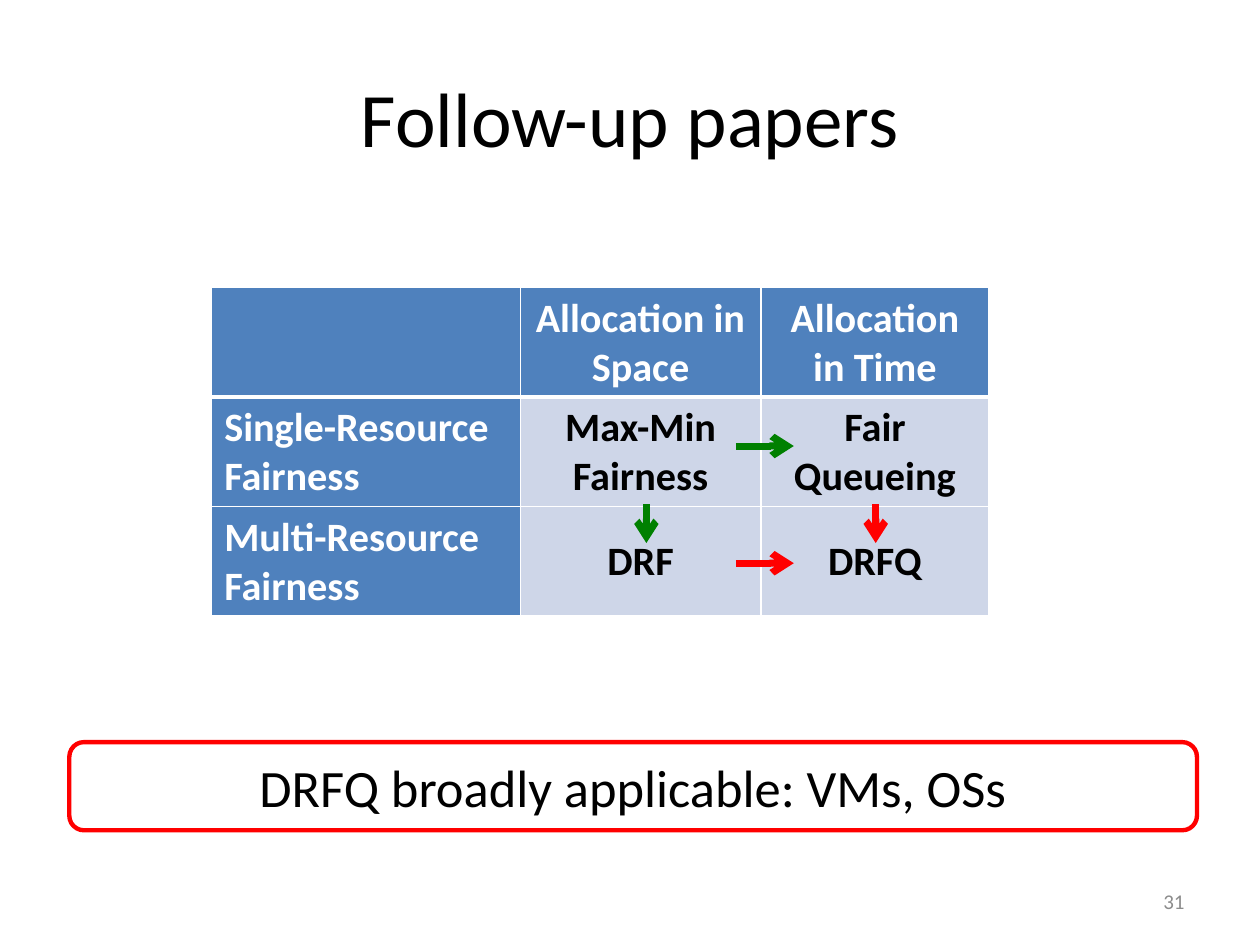
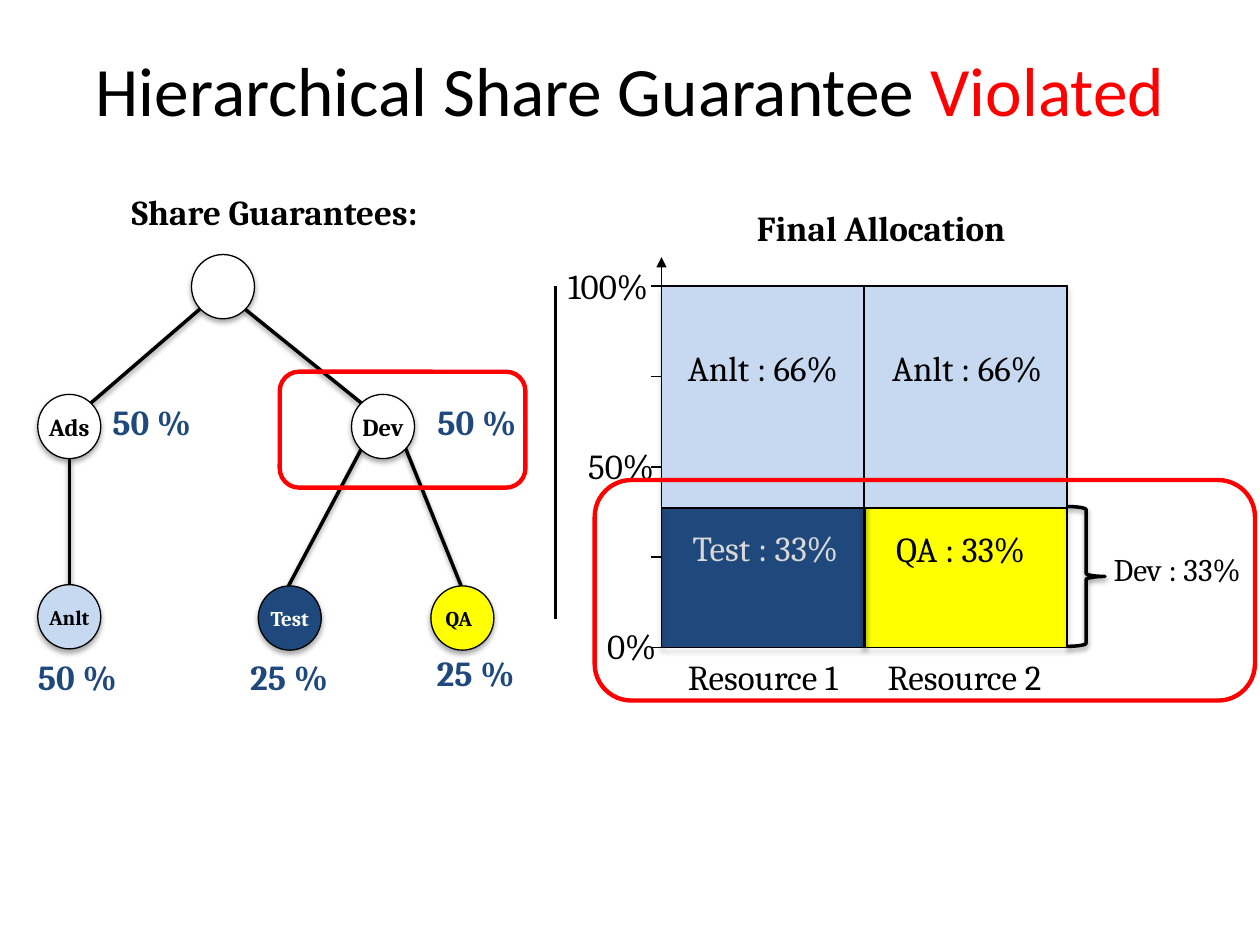
from lxml import etree
from pptx import Presentation
from pptx.dml.color import RGBColor
from pptx.enum.shapes import MSO_CONNECTOR, MSO_SHAPE
from pptx.enum.text import MSO_ANCHOR, MSO_AUTO_SIZE, PP_ALIGN
from pptx.oxml.ns import qn
from pptx.util import Inches, Pt

STRAIGHT = MSO_CONNECTOR.STRAIGHT
RECT, ROUNDED = MSO_SHAPE.RECTANGLE, MSO_SHAPE.ROUNDED_RECTANGLE
OVAL, BRACE = MSO_SHAPE.OVAL, MSO_SHAPE.RIGHT_BRACE
LEFT, CENTER, RIGHT = PP_ALIGN.LEFT, PP_ALIGN.CENTER, PP_ALIGN.RIGHT
TOP, MIDDLE = MSO_ANCHOR.TOP, MSO_ANCHOR.MIDDLE
FIT_SHAPE = MSO_AUTO_SIZE.SHAPE_TO_FIT_TEXT

COLORS = {
    "black": "000000", "white": "FFFFFF", "red": "FF0000", "green": "008000",
    "header": "4F81BD", "body": "CED6E8", "navy": "1F497D", "pale": "C6D9F1",
    "yellow": "FFFF00", "light": "D9D9D9", "footer": "8C8C8C",
}
HEADING, LABEL = "Calibri", "Cambria"
SOFT_SHADOW = {"alpha": 35, "distance": 1.8}
LINE_SHADOW = {"alpha": 38, "distance": 1.6}


def rgb(name):
    return RGBColor.from_string(COLORS[name])


def add_color(parent, name):
    return etree.SubElement(parent, qn("a:srgbClr"), val=COLORS[name])


def set_effects(properties, shadow):
    """Replace the theme's shadow by the given one, or by none."""
    effects = properties.find(qn("a:effectLst"))
    if effects is None:
        effects = etree.SubElement(properties, qn("a:effectLst"))
    if shadow:
        outer = etree.SubElement(
            effects, qn("a:outerShdw"), blurRad=str(Pt(3.1)),
            dist=str(Pt(shadow["distance"])), dir="5400000", rotWithShape="0")
        etree.SubElement(add_color(outer, "black"), qn("a:alpha"),
                         val=str(shadow["alpha"] * 1000))


def set_borders(cell, top, bottom):
    properties = cell._tc.get_or_add_tcPr()
    widths = {"lnL": 1, "lnR": 1, "lnT": top, "lnB": bottom}
    for position, (side, width) in enumerate(widths.items()):
        border = etree.Element(qn("a:" + side), w=str(Pt(width)))
        add_color(etree.SubElement(border, qn("a:solidFill")), "white")
        properties.insert(position, border)


class Deck:
    def __init__(self):
        self.presentation = Presentation()
        self.presentation.slide_width = Inches(10)
        self.presentation.slide_height = Inches(7.5)
        self.slide = None

    def new_slide(self):
        blank = self.presentation.slide_layouts[6]
        self.slide = self.presentation.slides.add_slide(blank)

    def add_words(self, frame, runs, size, font=LABEL, color="black", bold=False,
                  align=CENTER):
        """Fill a frame with one paragraph; runs is a string or (text, color) pairs."""
        paragraph = frame.paragraphs[0]
        paragraph.alignment = align
        for words, run_color in [(runs, color)] if isinstance(runs, str) else runs:
            run = paragraph.add_run()
            run.text = words
            run.font.name, run.font.size, run.font.bold = font, Pt(size), bold
            run.font.color.rgb = rgb(run_color)

    def text(self, at, runs, size, wrap=True, anchor=TOP, **style):
        frame = self.slide.shapes.add_textbox(*map(Inches, at)).text_frame
        frame.word_wrap = wrap
        frame.vertical_anchor = anchor
        if anchor == TOP:
            frame.auto_size = FIT_SHAPE
        self.add_words(frame, runs, size, **style)

    def title(self, top, runs, size):
        self.text((0.5, top, 9, 1.25), runs, size, anchor=MIDDLE, font=HEADING)

    def shape(self, kind, at, fill=None, line="black", width=1, shadow=None,
              words=None, right_inset=0, **style):
        shape = self.slide.shapes.add_shape(kind, *map(Inches, at))
        if fill:
            shape.fill.solid()
            shape.fill.fore_color.rgb = rgb(fill)
        else:
            shape.fill.background()
        shape.line.color.rgb = rgb(line)
        shape.line.width = Pt(width)
        shape.shadow.inherit = False
        set_effects(shape._element.spPr, shadow)
        if words:
            frame = shape.text_frame
            frame.vertical_anchor = MIDDLE
            frame.margin_left, frame.margin_right = 0, Inches(right_inset)
            self.add_words(frame, words, **style)

    def highlight(self, at, **text):
        self.shape(ROUNDED, at, line="red", width=2.5, **text)

    def line(self, start, end, color="black", width=1, arrow=None, shadow=None):
        line = self.slide.shapes.add_connector(
            STRAIGHT, *map(Inches, (*start, *end)))
        line.line.color.rgb = rgb(color)
        line.line.width = Pt(width)
        properties = line._element.spPr
        if arrow:
            etree.SubElement(properties.find(qn("a:ln")), qn("a:tailEnd"), type=arrow)
        set_effects(properties, shadow)

    def table(self, left, top, widths, row_height, rows, has_header):
        table = self.slide.shapes.add_table(
            len(rows), len(widths), Inches(left), Inches(top),
            Inches(sum(widths)), Inches(row_height * len(rows))).table
        table.first_row = has_header
        table.horz_banding = False
        for column, width in zip(table.columns, widths):
            column.width = Inches(width)
        for r, row in enumerate(rows):
            table.rows[r].height = Inches(row_height)
            is_header = has_header and r == 0
            for c, words in enumerate(row):
                cell = table.cell(r, c)
                dark = is_header or c == 0
                cell.fill.solid()
                cell.fill.fore_color.rgb = rgb("header" if dark else "body")
                cell.vertical_anchor = MIDDLE
                set_borders(cell, 3 if has_header and r == 1 else 1,
                            3 if is_header else 1)
                if words:
                    self.add_words(cell.text_frame, words, 23, HEADING,
                                   "white" if dark else "black", True,
                                   CENTER if c else LEFT)


def follow_up_slide(deck):
    deck.new_slide()
    deck.title(0.3, "Follow-up papers", 44)
    deck.text((7.17, 6.95, 2.33, 0.4), "31", 12, anchor=MIDDLE, font=HEADING,
              color="footer", align=RIGHT)

    left, top, row_height = 1.68, 2.28, 0.87
    widths = (2.45, 1.91, 1.81)
    single_resource = [
        ("", "Allocation in Space", "Allocation in Time"),
        ("Single-Resource Fairness", "Max-Min Fairness", "Fair Queueing"),
    ]
    multi_resource = [("Multi-Resource Fairness", "DRF", "DRFQ")]
    deck.table(left, top, widths, row_height, single_resource, True)
    deck.table(left, top + 2 * row_height, widths, row_height, multi_resource, False)

    for y, color in ((3.54, "green"), (4.47, "red")):
        deck.line((5.84, y), (6.3, y), color, 4, "arrow")
    for x, color in ((6.95, "red"), (5.13, "green")):
        deck.line((x, 4), (x, 4.31), color, 4, "arrow")

    deck.highlight((0.55, 5.89, 8.95, 0.7), size=30, font=HEADING,
                   words="DRFQ broadly applicable: VMs, OSs")


def draw_share_tree(deck):
    deck.text((0.9, 1.46, 2.56, 0.44), "Share Guarantees:", 20, wrap=False, bold=True)
    edges = [
        ((0.55, 3.64), (0.55, 4.64)), ((1.59, 2.45), (0.72, 3.2)),
        ((1.94, 2.45), (2.87, 3.2)), ((2.87, 3.56), (2.29, 4.65)),
        ((3.22, 3.56), (3.66, 4.65)),
    ]
    for parent, child in edges:
        deck.line(parent, child, width=2, shadow=LINE_SHADOW)

    nodes = [
        (1.52, 2.02, None, "white", {}),
        (0.3, 3.13, "Ads", "white", {"size": 14}),
        (2.79, 3.13, "Dev", "white", {"size": 14}),
        (0.3, 4.64, "Anlt", "pale", {"size": 12}),
        (2.05, 4.65, "Test", "navy", {"size": 12, "color": "white"}),
        (3.42, 4.65, "QA", "yellow",
         {"size": 12, "align": RIGHT, "right_inset": 0.1}),
    ]
    for x, y, name, fill, style in nodes:
        deck.shape(OVAL, (x, y, 0.5, 0.51), fill, width=0.75, shadow=SOFT_SHADOW,
                   words=name, bold=True, **style)

    shares = [(0.77, 3.13, 50), (3.35, 3.13, 50), (0.18, 5.15, 50),
              (1.86, 5.15, 25), (3.34, 5.12, 25)]
    for x, y, share in shares:
        deck.text((x, y, 0.87, 0.44), f"{share} %", 20, wrap=False, color="navy",
                  bold=True)


def draw_allocation(deck):
    left, top, bottom, split = 5.25, 2.27, 5.14, 4.03
    bar = 1.61
    middle = left + bar
    for x, fill in ((left, "navy"), (middle, "yellow")):
        deck.shape(RECT, (x, split, bar, bottom - split), fill)

    deck.line((left, bottom), (left, 2.04), arrow="triangle")
    tick_gap = (bottom - top) / 4
    for tick in range(5):
        y = top + tick * tick_gap
        deck.line((left, y), (left - 0.08, y))
    for x, y, width, mark in ((4.41, 2.05, 0.92, "100%"), (4.57, 3.48, 0.76, "50%"),
                              (4.72, 4.91, 0.61, "0%")):
        deck.text((x, y, width, 0.44), mark, 20, wrap=False, align=LEFT)

    deck.shape(RECT, (left, top, 2 * bar, bottom - top), width=0.75,
               shadow=SOFT_SHADOW)
    deck.line((middle, top), (middle, bottom), width=2, shadow=LINE_SHADOW)
    for x in (left, middle):
        deck.shape(RECT, (x, top, bar, split - top), "pale")

    labels = [
        (5.27, 4.13, "Test : 33%", "light"), (6.82, 4.14, "QA : 33%", "black"),
        (5.25, 2.7, "Anlt : 66%", "black"), (6.87, 2.7, "Anlt : 66%", "black"),
        (5.25, 5.15, "Resource 1", "black"), (6.85, 5.15, "Resource 2", "black"),
    ]
    for x, y, words, color in labels:
        deck.text((x, y, bar, 0.44), words, 20, color=color)

    deck.text((5.88, 1.59, 2.23, 0.44), "Final Allocation", 20, wrap=False, bold=True)
    deck.shape(BRACE, (8.47, 4.02, 0.3, 1.11), width=2, shadow=LINE_SHADOW)
    deck.text((8.74, 4.32, 1.3, 0.4), "Dev : 33%", 18, wrap=False, align=LEFT)


def violated_slide(deck):
    deck.new_slide()
    deck.title(0.08, [("Hierarchical Share Guarantee ", "black"),
                      ("Violated", "red")], 39.6)
    draw_share_tree(deck)
    deck.line((4.41, 2.27), (4.41, 4.91), width=2)
    draw_allocation(deck)
    deck.highlight((4.72, 3.81, 5.24, 1.75))
    deck.highlight((2.22, 2.95, 1.95, 0.92))


def main():
    deck = Deck()
    follow_up_slide(deck)
    violated_slide(deck)
    deck.presentation.save("out.pptx")


if __name__ == "__main__":
    main()
